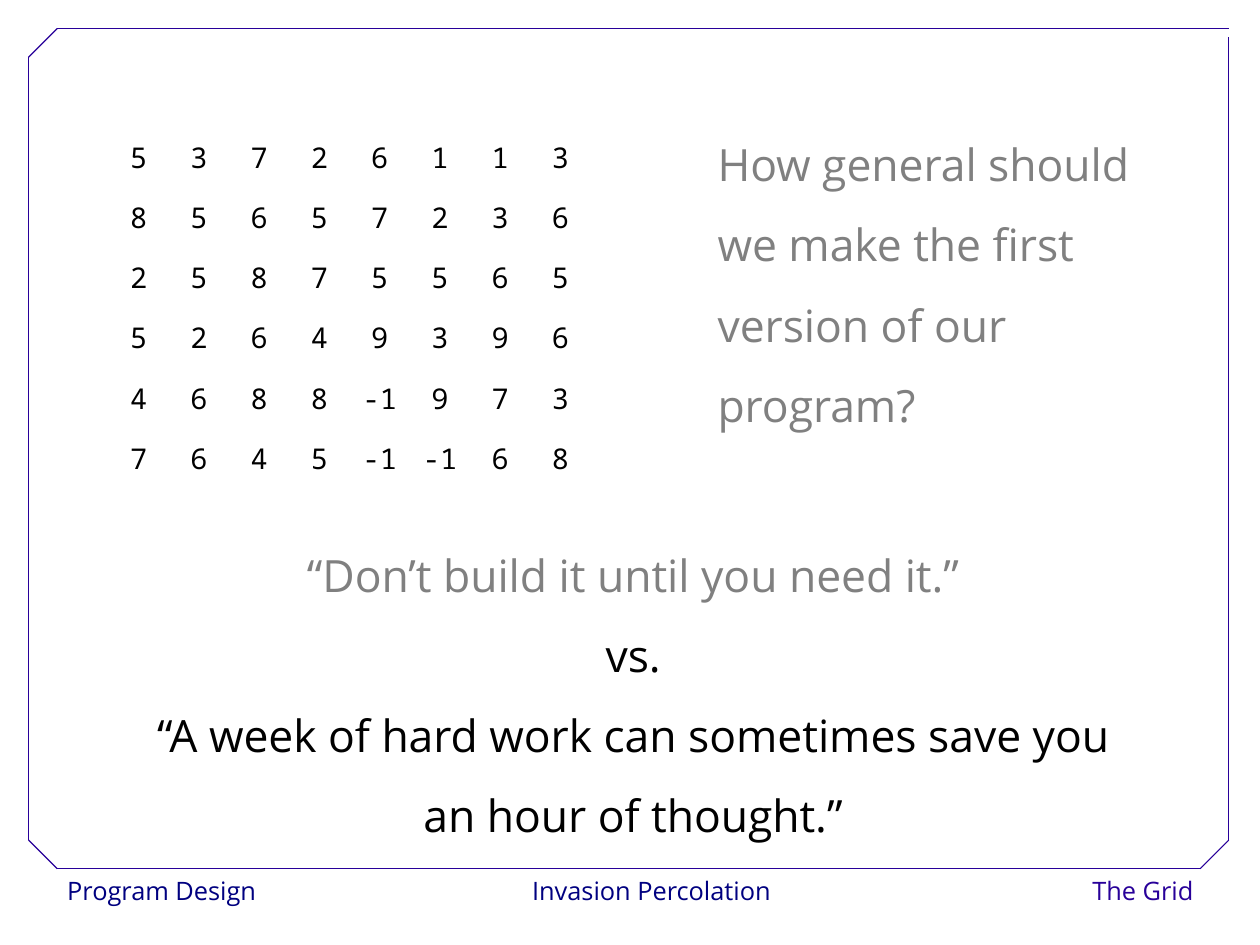
from dataclasses import dataclass

from lxml import etree
from pptx import Presentation
from pptx import util as u
from pptx.dml.color import RGBColor
from pptx.enum import shapes, text
from pptx.oxml import ns


@dataclass(frozen=True)
class Theme:
    """Colours, fonts and type sizes of the slide."""
    white: str = "FFFFFF"
    black: str = "000000"
    grey: str = "808080"
    navy: str = "000080"
    violet: str = "280099"
    sans: str = "Open Sans"
    mono: str = "Noto Sans Mono"
    body: int = 28
    cell: int = 18
    footer: int = 16
    rule: float = 0.75


THEME = Theme()
CM_PER_INCH = 2.54
LEFT, CENTER, RIGHT = text.PP_ALIGN.LEFT, text.PP_ALIGN.CENTER, text.PP_ALIGN.RIGHT

GRID = [
    [5, 3, 7, 2, 6, 1, 1, 3],
    [8, 5, 6, 5, 7, 2, 3, 6],
    [2, 5, 8, 7, 5, 5, 6, 5],
    [5, 2, 6, 4, 9, 3, 9, 6],
    [4, 6, 8, 8, -1, 9, 7, 3],
    [7, 6, 4, 5, -1, -1, 6, 8],
]
QUESTION = ["How general should", "we make the first", "version of our", "program?"]
SAYINGS = [
    "“Don’t build it until you need it.”",
    "vs.",
    "“A week of hard work can sometimes save you",
    "an hour of thought.”",
]


def inches(*lengths):
    """Convert lengths in inches."""
    return [u.Inches(n) for n in lengths]


def style(p, size, color, align=LEFT, spacing=1.02, name=THEME.sans):
    """Set the alignment, spacing and font of a paragraph."""
    p.alignment = align
    p.line_spacing = spacing
    p.font.name = name
    p.font.size = u.Pt(size)
    p.font.color.rgb = RGBColor.from_string(color)


def add_frame(s, left, top, width, height, cut=0.25, gap=0.07):
    """Draw the frame with three cut corners and a small gap at the top right."""
    right, bottom = left + width, top + height
    outline = [
        (right, top), (left + cut, top), (left, top + cut), (left, bottom - cut),
        (left + cut, bottom), (right - cut, bottom), (right, bottom - cut),
        (right, top + gap),
    ]
    for start, end in zip(outline, outline[1:]):
        line = s.shapes.add_connector(
            shapes.MSO_CONNECTOR.STRAIGHT, *inches(*start, *end))
        line.line.color.rgb = RGBColor.from_string(THEME.violet)
        line.line.width = u.Pt(THEME.rule)
        etree.SubElement(line._element.spPr, ns.qn("a:effectLst"))


def add_footer(s, left, top, width, height, label, color, align):
    """Place one footer label on a white box."""
    sp = s.shapes.add_shape(
        shapes.MSO_SHAPE.RECTANGLE, *inches(left, top, width, height))
    sp.shadow.inherit = False
    sp.fill.solid()
    sp.fill.fore_color.rgb = RGBColor.from_string(THEME.white)
    sp.line.fill.background()
    tf = sp.text_frame
    tf.word_wrap = False
    tf.vertical_anchor = text.MSO_ANCHOR.TOP
    tf.text = label
    style(tf.paragraphs[0], THEME.footer, color, align)


def add_lines(s, left, top, width, height, lines, colors, align, wrap):
    """Place large text, one paragraph for each line."""
    tf = s.shapes.add_textbox(*inches(left, top, width, height)).text_frame
    tf.word_wrap = wrap
    tf.auto_size = text.MSO_AUTO_SIZE.SHAPE_TO_FIT_TEXT
    tf.text = "\n".join(lines)
    for p, color in zip(tf.paragraphs, colors):
        style(p, THEME.body, color, align, 1.5)


def add_grid(s, left, top, width, height, values):
    """Place the numbers in a plain table with even cells."""
    frame = s.shapes.add_table(
        len(values), len(values[0]), *inches(left, top, width, height))
    table = frame.table
    table.first_row = table.horz_banding = False
    for row, numbers in zip(table.rows, values):
        for cell, number in zip(row.cells, numbers):
            cell.fill.background()
            cell.vertical_anchor = text.MSO_ANCHOR.MIDDLE
            cell.text = str(number)
            style(cell.text_frame.paragraphs[0], THEME.cell, THEME.black,
                  CENTER, name=THEME.mono)


def main():
    """Build the slide and save it."""
    prs = Presentation()
    prs.slide_width = u.Inches(28 / CM_PER_INCH)
    prs.slide_height = u.Inches(21 / CM_PER_INCH)
    s = prs.slides.add_slide(prs.slide_layouts[6])
    add_footer(s, 0.49, 7.6, 1.8, 0.4, "Program Design", THEME.navy, LEFT)
    add_footer(s, 4.58, 7.6, 2.24, 0.4, "Invasion Percolation", THEME.navy, CENTER)
    add_footer(s, 9.14, 7.6, 1.4, 0.4, "The Grid", THEME.violet, RIGHT)
    add_frame(s, 0.25, 0.25, 10.5, 7.35)
    add_lines(s, 6.18, 0.92, 3.86, 2.9, QUESTION, [THEME.grey] * 4, LEFT, False)
    add_grid(s, 0.95, 1.11, 4.22, 3.16, GRID)
    add_lines(s, 0.91, 4.51, 9.26, 2.9, SAYINGS,
              [THEME.grey] + [THEME.black] * 3, CENTER, True)
    prs.save("out.pptx")


if __name__ == "__main__":
    main()
